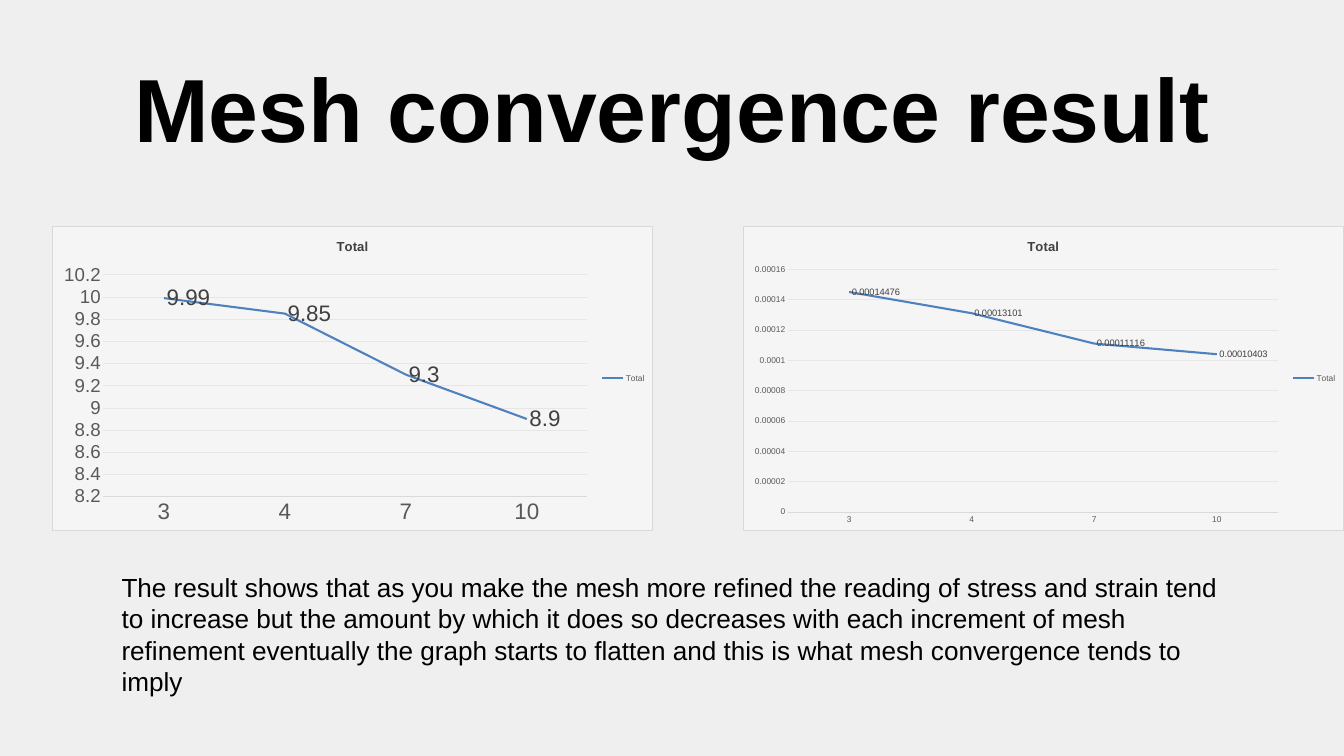
import pptx
import pptx.util
import pptx.chart.data
import pptx.dml.color
import pptx.enum.chart
import pptx.enum.text
import pptx.oxml
from pptx.oxml.ns import nsdecls
from pptx.util import Inches

FONT = "Arial"
TITLE = "Mesh convergence result"
NOTE = ("The result shows that as you make the mesh more refined the reading of "
        "stress and strain tend to increase but the amount by which it does so "
        "decreases with each increment of mesh refinement eventually the graph "
        "starts to flatten and this is what mesh convergence tends to imply")
CATS = ["3", "4", "7", "10"]
PLOTS = [
    dict(left=0.77, vals=[9.99, 9.85, 9.3, 8.9], span=(8.2, 10.2, 0.2),
         tags=[], cat=24, val=20, label=24),
    dict(left=11.05, vals=[0.000145, 0.000131, 0.000111, 0.000104],
         span=(0, 0.00016, 0.00002),
         tags=["0.00014476", "0.00013101", "0.00011116", "0.00010403"],
         cat=9, val=9, label=10),
]
FRAME = """<c:spPr %s><a:solidFill><a:srgbClr val="F5F5F5"/></a:solidFill>
<a:ln w="9525"><a:solidFill><a:srgbClr val="D9D9D9"/></a:solidFill></a:ln>
</c:spPr>""" % nsdecls("c", "a")


def rgb(color):
    return pptx.dml.color.RGBColor.from_string(color)


def style(font, size, color, bold=False):
    font.name = FONT
    font.size = pptx.util.Pt(size)
    font.bold = bold
    font.color.rgb = rgb(color)


def stroke(line, color, width):
    line.color.rgb = rgb(color)
    line.width = pptx.util.Pt(width)


def add_text(slide, text, box, size, bold=False):
    frame = slide.shapes.add_textbox(*map(Inches, box)).text_frame
    frame.word_wrap = True
    para = frame.paragraphs[0]
    para.text = text
    style(para.font, size, "000000", bold)
    return para


def add_tags(line, plot):
    right = pptx.enum.chart.XL_LABEL_POSITION.RIGHT
    tags = line.data_labels
    tags.show_value = True
    tags.number_format = "General"
    tags.number_format_is_linked = False
    tags.position = right
    style(tags.font, plot["label"], "404040")
    for i, text in enumerate(plot["tags"]):
        tag = line.points[i].data_label
        tag.text_frame.text = text
        style(tag.text_frame.paragraphs[0].font, plot["label"], "404040")
        tag.position = right


def add_plot(slide, plot):
    kinds = pptx.enum.chart
    data = pptx.chart.data.CategoryChartData()
    data.categories = CATS
    data.add_series("Total", plot["vals"])
    box = (plot["left"], 3.36, 8.95, 4.54)
    chart = slide.shapes.add_chart(
        kinds.XL_CHART_TYPE.LINE, *map(Inches, box), data).chart
    style(chart.font, 10, "000000")
    chart._chartSpace.chart.addnext(pptx.oxml.parse_xml(FRAME))

    chart.has_title = True
    head = chart.chart_title.text_frame
    head.text = "Total"
    style(head.paragraphs[0].font, 14, "404040", True)
    chart.has_legend = True
    chart.legend.position = kinds.XL_LEGEND_POSITION.RIGHT
    chart.legend.include_in_layout = False
    style(chart.legend.font, 9, "595959")

    cat, val = chart.category_axis, chart.value_axis
    for axis, size in ((cat, plot["cat"]), (val, plot["val"])):
        axis.major_tick_mark = axis.minor_tick_mark = kinds.XL_TICK_MARK.NONE
        style(axis.tick_labels.font, size, "595959")
    stroke(cat.format.line, "D9D9D9", 0.75)
    val.format.line.fill.background()
    val.has_major_gridlines = True
    stroke(val.major_gridlines.format.line, "E6E6E6", 0.75)
    val.minimum_scale, val.maximum_scale, val.major_unit = plot["span"]
    val.tick_labels.number_format = "General"
    val.tick_labels.number_format_is_linked = False

    chart.plots[0].vary_by_categories = False
    line = chart.plots[0].series[0]
    line.smooth = False
    line.marker.style = kinds.XL_MARKER_STYLE.NONE
    stroke(line.format.line, "4F81BD", 2.25)
    add_tags(line, plot)


def main():
    deck = pptx.Presentation()
    deck.slide_width, deck.slide_height = Inches(20), Inches(11.25)
    slide = deck.slides.add_slide(deck.slide_layouts[6])
    slide.background.fill.solid()
    slide.background.fill.fore_color.rgb = rgb("EFEFEF")

    para = add_text(slide, TITLE, (0.77, 0.74, 18.46, 5.29), 96, True)
    para.alignment = pptx.enum.text.PP_ALIGN.CENTER
    for plot in PLOTS:
        add_plot(slide, plot)
    add_text(slide, NOTE, (1.71, 8.45, 16.85, 1.73), 28)
    deck.save("out.pptx")


if __name__ == "__main__":
    main()
